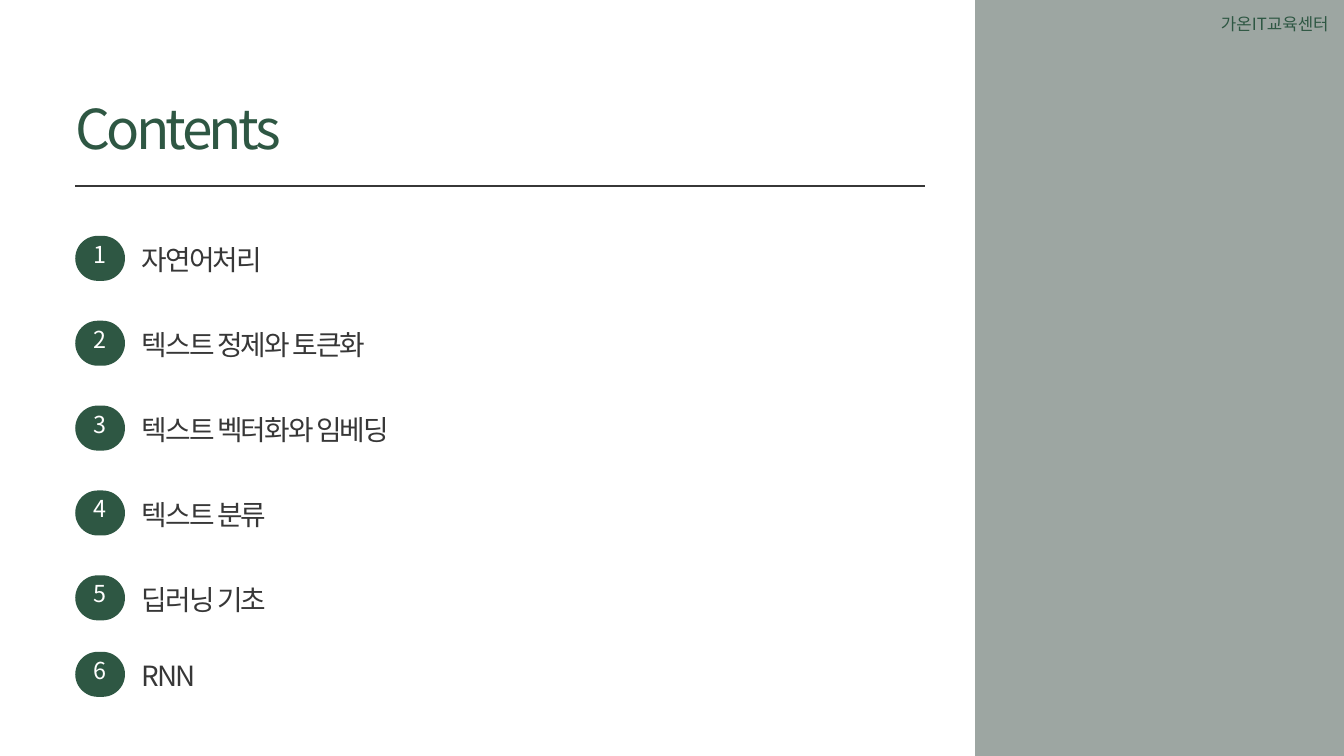
from lxml import etree
from pptx import Presentation
from pptx import util as u
from pptx.dml.color import RGBColor
from pptx.enum import shapes, text
from pptx.oxml.ns import qn

Inches, Pt = u.Inches, u.Pt
FONT = "Noto Sans CJK KR"
COLORS = {"green": "2E5743", "gray": "9DA6A2", "ink": "373737", "white": "FFFFFF"}
FORMATS = {
    "brand": {"size": 18, "color": "green", "align": "RIGHT"},
    "title": {"size": 58.8, "color": "green", "line": 82.3, "spc": -390, "inset": 0},
    "item": {"size": 29.8, "color": "ink", "line": 41.7, "spc": -200, "inset": 0},
    "number": {"size": 25, "color": "white", "line": 35, "inset": 0.06,
               "align": "CENTER", "anchor": "MIDDLE"},
}


def add_text(s, words, x, y, w, h, style):
    f = FORMATS[style]
    tf = s.shapes.add_textbox(Inches(x), Inches(y), Inches(w), Inches(h)).text_frame
    tf.word_wrap = True
    tf.vertical_anchor = text.MSO_ANCHOR[f.get("anchor", "TOP")]
    if "inset" in f:
        for side in ("left", "top", "right", "bottom"):
            setattr(tf, f"margin_{side}", Inches(f["inset"]))
    p = tf.paragraphs[0]
    p.alignment = text.PP_ALIGN[f.get("align", "LEFT")]
    if "line" in f:
        p.line_spacing = Pt(f["line"])
    r = p.add_run()
    r.text = words
    for name, value in {"size": Pt(f["size"]), "name": FONT}.items():
        setattr(r.font, name, value)
    r.font.color.rgb = RGBColor.from_string(COLORS[f["color"]])
    rpr = r.font._element
    if "spc" in f:
        rpr.set("spc", str(f["spc"]))
    etree.SubElement(rpr, qn("a:ea")).set("typeface", FONT)


def add_block(s, kind, x, y, w, h, color):
    sp = s.shapes.add_shape(kind, Inches(x), Inches(y), Inches(w), Inches(h))
    sp.shadow.inherit = False
    sp.fill.solid()
    sp.fill.fore_color.rgb = RGBColor.from_string(COLORS[color])
    sp.line.fill.background()
    return sp


prs = Presentation()
prs.slide_width, prs.slide_height = Inches(20), Inches(11.25)
s = prs.slides.add_slide(prs.slide_layouts[6])

add_block(s, shapes.MSO_SHAPE.RECTANGLE, 14.51, 0, 5.49, 11.25, "gray")
add_text(s, "가온IT교육센터", 17.95, 0.15, 1.92, 0.4, "brand")

rule = s.shapes.add_connector(shapes.MSO_CONNECTOR.STRAIGHT,
                              Inches(1.12), Inches(2.77), Inches(13.76), Inches(2.77))
rule.line.color.rgb = RGBColor.from_string(COLORS["ink"])
rule.line.width = Pt(1.5)
etree.SubElement(rule._element.spPr, qn("a:effectLst"))

add_text(s, "Contents", 1.12, 1.24, 10.15, 1.06, "title")

topics = ["자연어처리", "텍스트 정제와 토큰화", "텍스트 벡터화와 임베딩",
          "텍스트 분류", "딥러닝 기초", "RNN"]
tops = [3.51 + 1.263 * i for i in range(5)] + [9.7]
for number, (topic, top) in enumerate(zip(topics, tops), 1):
    add_text(s, topic, 2.11, top + 0.02, 5.44 if number == 3 else 4.96, 0.54, "item")
    pill = add_block(s, shapes.MSO_SHAPE.ROUNDED_RECTANGLE, 1.12, top, 0.74, 0.67, "green")
    pill.adjustments[0] = 0.5
    add_text(s, str(number), 1.12, top - 0.2, 0.74, 0.87, "number")

prs.save("out.pptx")
